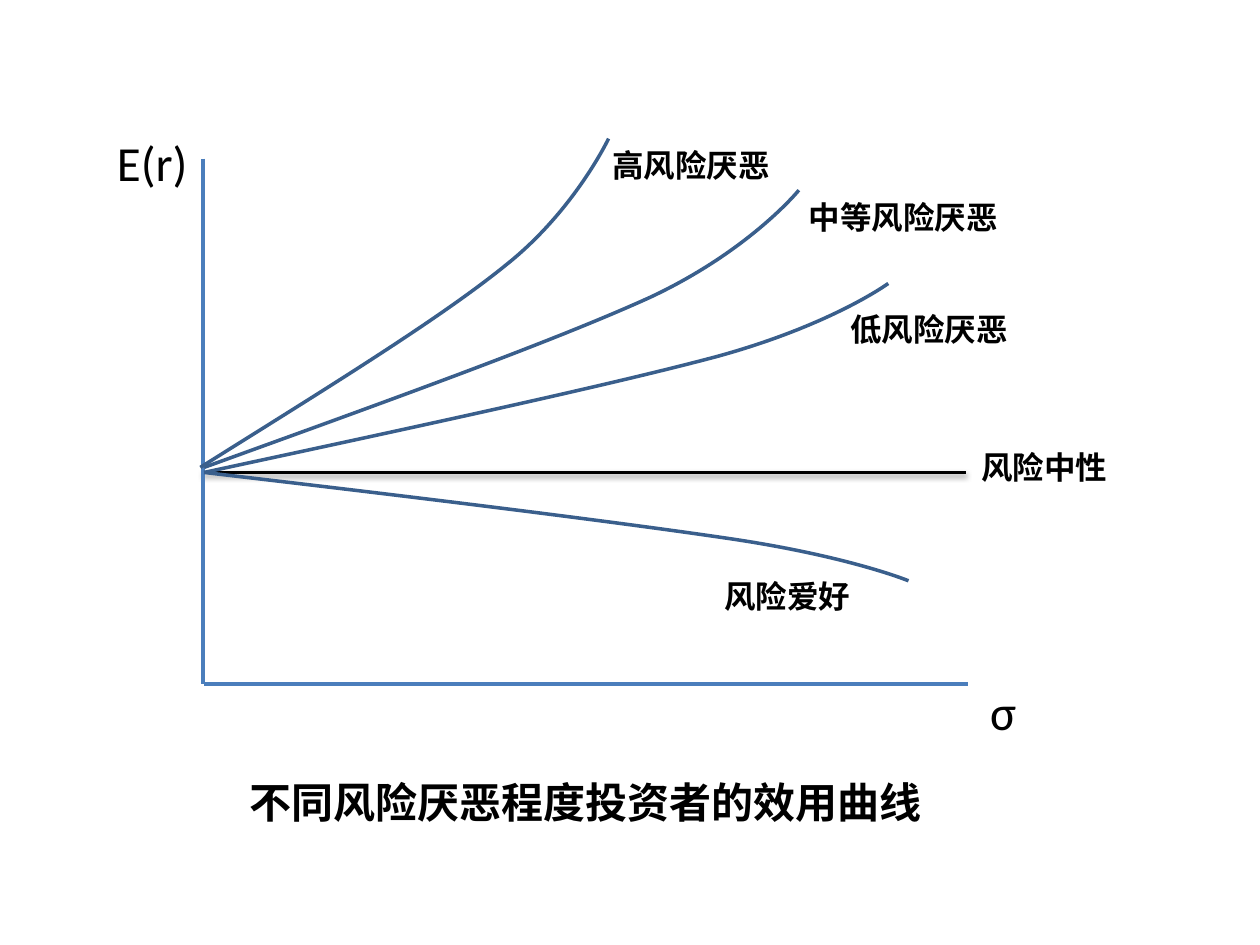
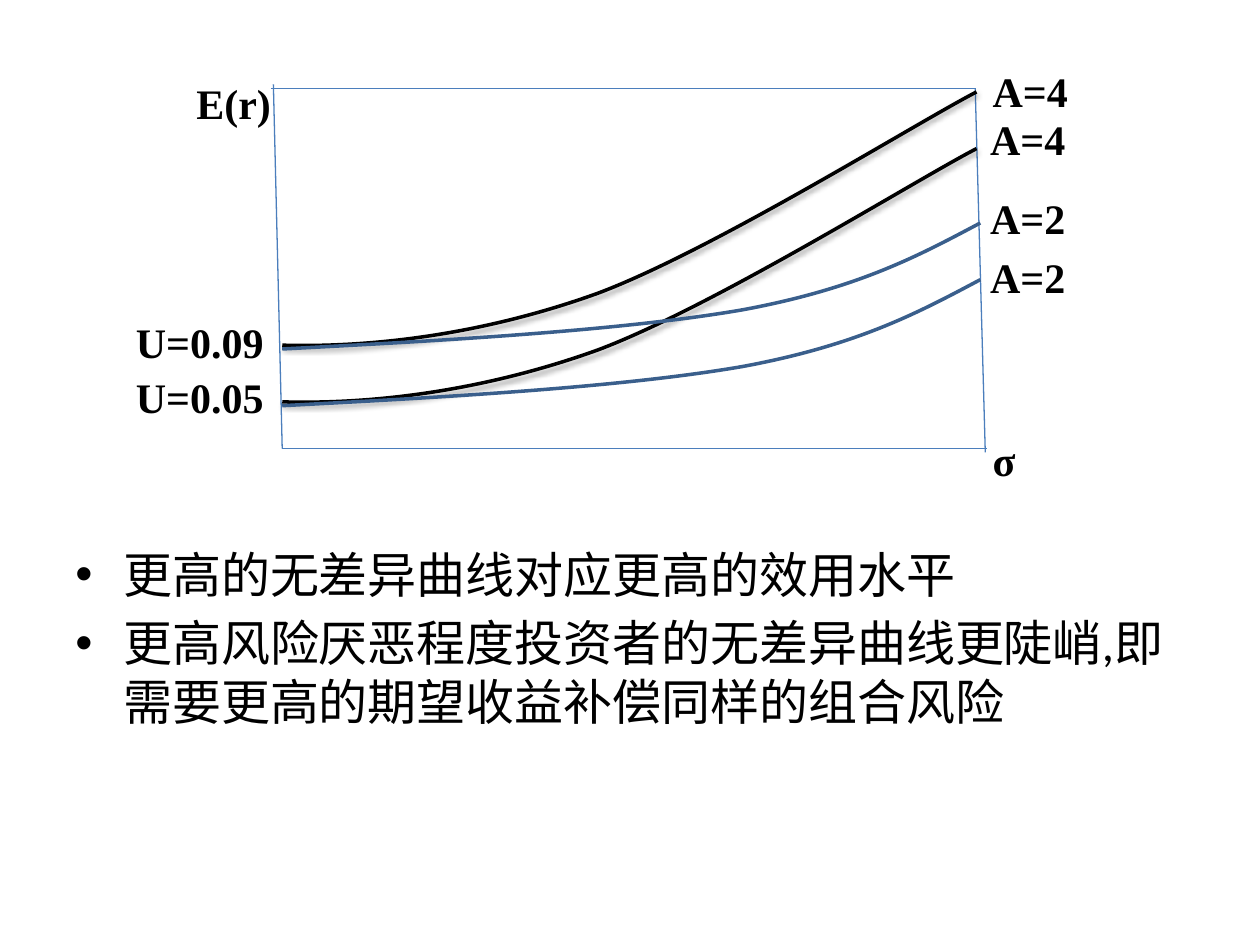
from dataclasses import dataclass

from lxml.etree import SubElement
from pptx import Presentation
from pptx.dml.color import RGBColor
from pptx.enum.shapes import MSO_CONNECTOR
from pptx.enum.text import MSO_AUTO_SIZE as AutoSize, PP_ALIGN as Align
from pptx.oxml.ns import qn
from pptx.util import Cm, Pt


@dataclass(frozen=True)
class Theme:
    """Colours, fonts, type sizes and line weights shared by both slides."""
    ink: str = "000000"
    axis: str = "4B7EBC"
    curve: str = "3A5F8C"
    sans: str = "Calibri"
    serif: str = "Times New Roman"
    large: int = 28
    medium: int = 24
    small: int = 18
    thick: float = 2
    thin: float = 0.75


THEME = Theme()


def inches(value):
    """Convert inches to a centimetre length."""
    return Cm(value * 2.54)


def style_stroke(stroke, color, weight, shadow):
    """Set colour, weight and an optional soft shadow of a line or curve."""
    stroke.line.color.rgb = RGBColor.from_string(color)
    stroke.line.width = Pt(weight)
    effects = SubElement(stroke._element.spPr, qn("a:effectLst"))
    if shadow:
        cast = SubElement(effects, qn("a:outerShdw"), blurRad=str(Pt(3.1)),
                          dist=str(Pt(1.6)), dir="5400000", rotWithShape="0")
        shade = SubElement(cast, qn("a:srgbClr"), val=THEME.ink)
        SubElement(shade, qn("a:alpha"), val="38000")


def add_line(slide, start, end, color=THEME.axis, weight=THEME.thick, shadow=False):
    """Draw a straight line between two points."""
    ends = [inches(value) for value in (*start, *end)]
    line = slide.shapes.add_connector(MSO_CONNECTOR.STRAIGHT, *ends)
    style_stroke(line, color, weight, shadow)


def add_curve(slide, points, color=THEME.curve, shadow=False, drop=0):
    """Draw a chain of cubic curves through a start and triples of points."""
    start, *rest = [(inches(x), inches(y + drop)) for x, y in points]
    builder = slide.shapes.build_freeform(*start, scale=1.0)
    builder.add_line_segments(rest, close=False)
    curve = builder.convert_to_shape()
    curve.fill.background()
    outline = curve._element.xpath(".//a:path")[0]
    steps = outline.findall(qn("a:lnTo"))
    for first in range(0, len(steps), 3):
        bend = SubElement(outline, qn("a:cubicBezTo"))
        for step in steps[first:first + 3]:
            bend.append(step[0])
            outline.remove(step)
    style_stroke(curve, color, THEME.thick, shadow)


def style_paragraph(paragraph, font, size, bold):
    """Apply the font to every run of a paragraph."""
    for run in paragraph.runs:
        run.font.name = font
        run.font.size = Pt(size)
        run.font.bold = bold
        run.font.color.rgb = RGBColor.from_string(THEME.ink)


def add_label(slide, text, left, top, width, height, size,
              font=THEME.sans, bold=True, align=Align.LEFT):
    """Place a one-line label."""
    label = slide.shapes.add_textbox(*map(inches, (left, top, width, height)))
    frame = label.text_frame
    frame.word_wrap = True
    frame.auto_size = AutoSize.SHAPE_TO_FIT_TEXT
    frame.text = text
    frame.paragraphs[0].alignment = align
    style_paragraph(frame.paragraphs[0], font, size, bold)


def add_bullets(slide, points, left, top, width, height):
    """Place a bulleted list with hanging indents."""
    body = slide.shapes.add_textbox(*map(inches, (left, top, width, height)))
    frame = body.text_frame
    frame.word_wrap = True
    frame.text = "\n".join(points)
    for paragraph in frame.paragraphs:
        paragraph.space_before = Pt(THEME.large * 0.2)
        style_paragraph(paragraph, THEME.sans, THEME.large, False)
        indents = paragraph._p.get_or_add_pPr()
        indents.set("marL", str(inches(0.38)))
        indents.set("indent", str(-inches(0.38)))
        SubElement(indents, qn("a:buFont"), typeface="Arial")
        SubElement(indents, qn("a:buChar"), char="•")


def build_utility_curves(slide):
    """Show utility curves by degree of risk aversion."""
    add_line(slide, (1.61, 3.75), (7.67, 3.75), THEME.ink, shadow=True)
    add_line(slide, (1.62, 5.43), (7.68, 5.43))
    add_line(slide, (1.61, 1.26), (1.61, 5.43))
    for symbol, left, top in (("E(r)", 0.83, 1), ("σ", 7.76, 5.36)):
        add_label(slide, symbol, left, top, 1.18, 0.51, THEME.large, bold=False)

    high = [(1.59, 3.71), (2.53, 3.12), (3.48, 2.54), (4.02, 2.1),
            (4.56, 1.67), (4.83, 1.1), (4.83, 1.1)]
    middle = [(1.62, 3.71), (3, 3.21), (4.37, 2.72), (5.16, 2.36),
              (5.95, 1.99), (6.34, 1.51), (6.34, 1.51)]
    low = [(1.62, 3.75), (3.2, 3.41), (4.79, 3.07), (5.69, 2.83),
           (6.6, 2.58), (7.05, 2.25), (7.05, 2.25)]
    loving = [(1.62, 3.75), (3.25, 3.94), (4.88, 4.14), (5.82, 4.28),
              (6.75, 4.42), (7.21, 4.61), (7.21, 4.61)]
    for attitude in (high, middle, low, loving):
        add_curve(slide, attitude)

    for attitude, left, top in (("高风险厌恶", 4.76, 1.11),
                                ("中等风险厌恶", 6.32, 1.52),
                                ("低风险厌恶", 6.65, 2.41),
                                ("风险爱好", 5.65, 4.53),
                                ("风险中性", 7.69, 3.51)):
        add_label(slide, attitude, left, top, 2.03, 0.41, THEME.small)
    add_label(slide, "不同风险厌恶程度投资者的效用曲线", 1.62, 6.11, 6.05, 0.5,
              THEME.medium, align=Align.CENTER)


def build_indifference_curves(slide):
    """Show indifference curves for two utility levels and their reading."""
    add_bullets(slide, ("更高的无差异曲线对应更高的效用水平",
                        "更高风险厌恶程度投资者的无差异曲线更陡峭,即需要更高的期望收益补偿同样的组合风险"
                        .replace(",", ",")), 0.5, 4.27, 9, 2.63)
    for start, end in (((2.17, 0.67), (2.24, 3.56)), ((2.24, 3.56), (7.83, 3.56)),
                       ((7.74, 0.7), (7.82, 3.59)), ((2.15, 0.7), (7.74, 0.7))):
        add_line(slide, start, end, weight=THEME.thin)

    steep = [(2.24, 2.74), (2.94, 2.76), (3.82, 2.66), (4.74, 2.33),
             (5.65, 1.99), (7.25, 0.99), (7.75, 0.73)]
    flat = [(2.24, 2.77), (3.6, 2.7), (4.96, 2.62), (5.89, 2.46),
            (6.81, 2.29), (7.29, 2.03), (7.78, 1.77)]
    utility_gap = 0.45
    for drop in (utility_gap, 0):
        add_curve(slide, steep, THEME.ink, shadow=True, drop=drop)
    for drop in (0, utility_gap):
        add_curve(slide, flat, drop=drop)

    for text, left, top, width in (("E(r)", 1.46, 0.57, 1.01),
                                   ("σ", 7.78, 3.4, 1.01),
                                   ("U=0.09", 0.98, 2.46, 1.26),
                                   ("U=0.05", 0.98, 2.9, 1.26),
                                   ("A=4", 7.78, 0.47, 1.26),
                                   ("A=4", 7.76, 0.85, 1.26),
                                   ("A=2", 7.76, 1.48, 1.26),
                                   ("A=2", 7.76, 1.95, 1.26)):
        add_label(slide, text, left, top, width, 0.5, THEME.medium, THEME.serif)


def main():
    """Build and save the presentation."""
    deck = Presentation()
    deck.slide_width, deck.slide_height = Cm(25.4), Cm(19.05)
    blank = deck.slide_layouts[6]
    for build in (build_utility_curves, build_indifference_curves):
        build(deck.slides.add_slide(blank))
    deck.save("out.pptx")


main()
